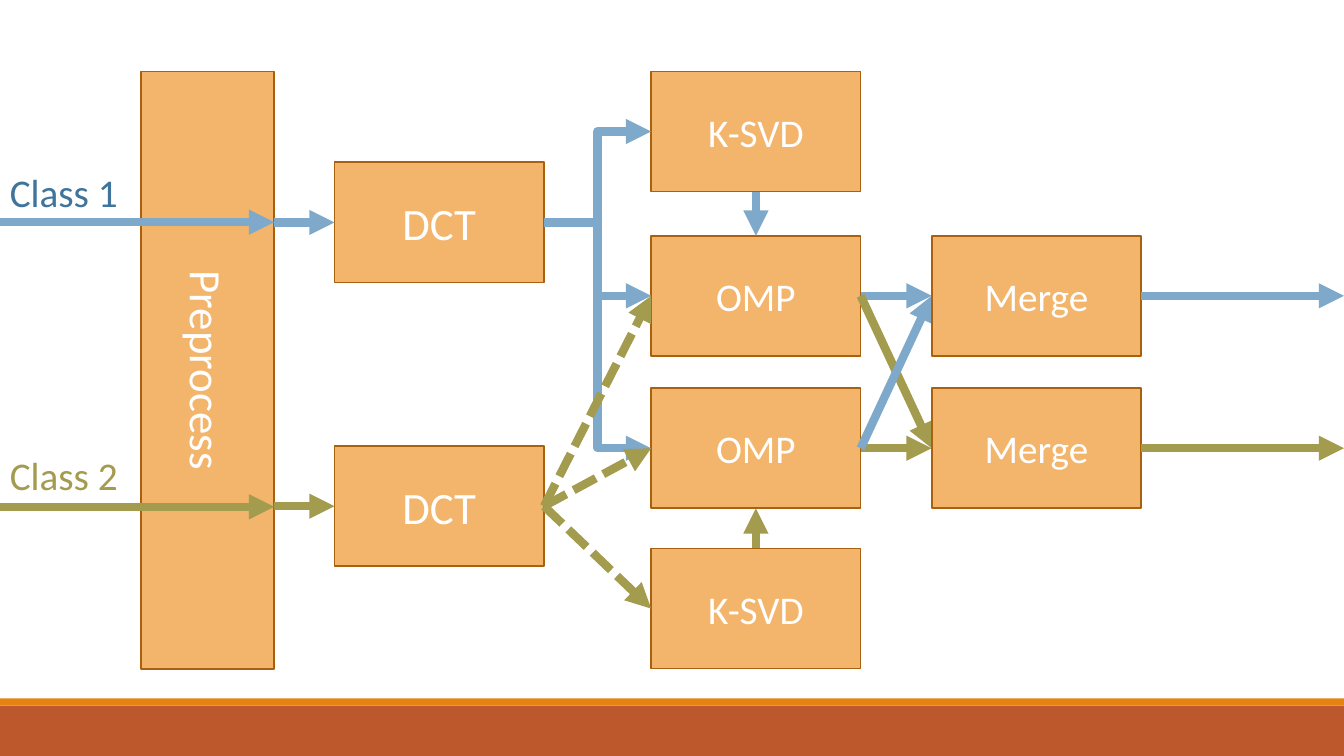
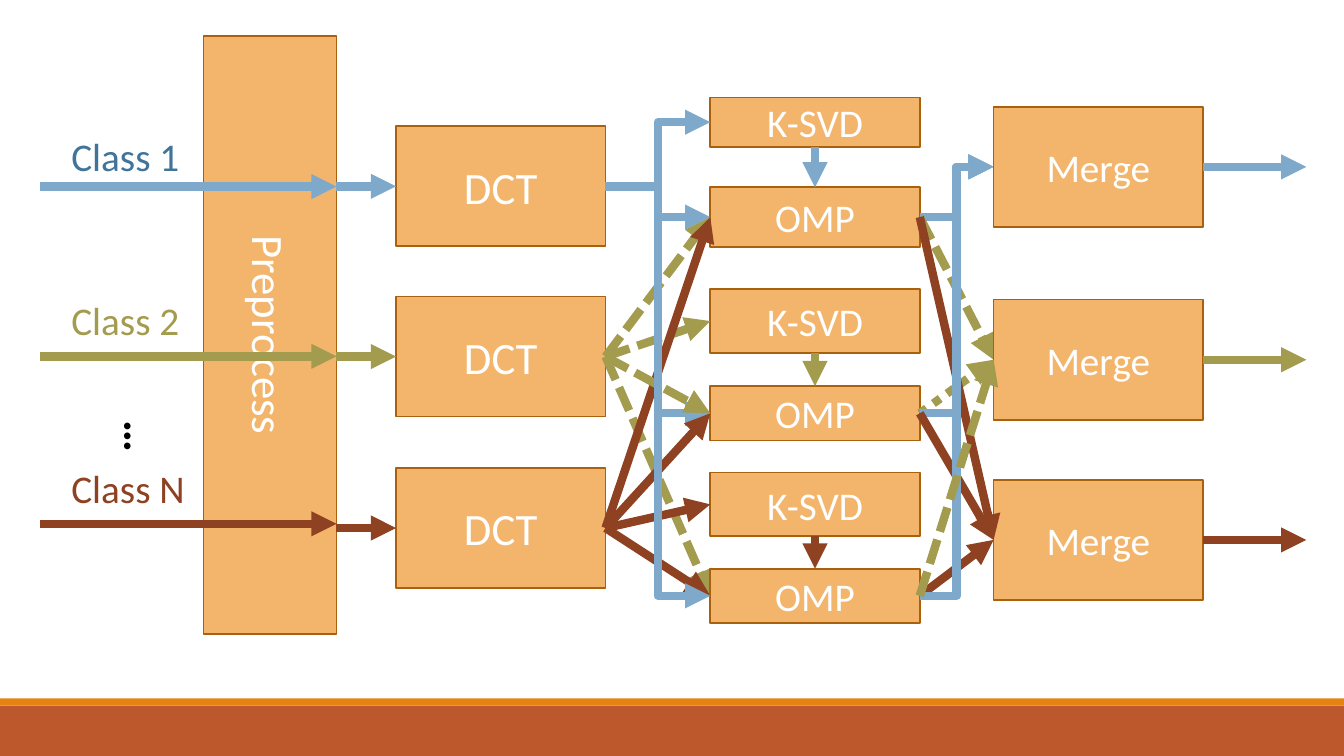
"""Build two block diagrams of a multi-class dictionary learning pipeline."""
from dataclasses import dataclass

from lxml.etree import SubElement
from pptx import Presentation
from pptx.dml.color import RGBColor
from pptx.enum.dml import MSO_LINE
from pptx.enum.shapes import MSO_CONNECTOR, MSO_SHAPE
from pptx.enum.text import MSO_ANCHOR, MSO_AUTO_SIZE, PP_ALIGN
from pptx.oxml.ns import qn
from pptx.util import Cm, Pt


@dataclass(frozen=True)
class Theme:
    """Colours, type sizes and line widths of the deck."""
    font: str = "Calibri"
    band: str = "BD582C"
    stripe: str = "E48312"
    box: str = "F3B56C"
    outline: str = "A9610D"
    box_text: str = "FFFFFF"
    dots: str = "000000"
    lanes: tuple = ("7EA9CA", "A39B4E", "8E4221")
    labels: tuple = ("40749B", "A39B4E", "8E4221")
    large: int = 32
    normal: int = 28
    outline_width: float = 1.25
    arrow_width: int = 6


THEME = Theme()
SLIDE_WIDTH, SLIDE_HEIGHT = 33.87, 19.05
BOX_WIDTH, BOX_HEIGHT = 5.28, 3.03
PREPROCESS_WIDTH, PREPROCESS_HEIGHT = 3.35, 15.06
LABEL_WIDTH, LABEL_HEIGHT = 3.8, 1.45
TOP, LEFT, BOTTOM, RIGHT = range(4)
DASHES = {"dash": MSO_LINE.SQUARE_DOT, "dot": MSO_LINE.ROUND_DOT}

BANDS = [(17.78, 1.27, THEME.band), (17.6, 0.18, THEME.stripe)]

TWO_CLASSES = {
    "preprocess": (3.56, 1.8),
    "columns": [
        ("DCT", 8.43, [(4.09, BOX_HEIGHT), (11.24, BOX_HEIGHT)]),
        ("K-SVD", 16.41, [(1.8, BOX_HEIGHT), (13.82, BOX_HEIGHT)]),
        ("OMP", 16.41, [(5.94, BOX_HEIGHT), (9.78, BOX_HEIGHT)]),
        ("Merge", 23.48, [(5.94, BOX_HEIGHT), (9.78, BOX_HEIGHT)]),
    ],
    "classes": [("Class 1", 4.11, 5.6), ("Class 2", 11.25, 12.77)],
    "label_left": 0,
    "input_left": 0,
    "output_right": SLIDE_WIDTH,
    "phases": [
        ([("DCT 1", "K-SVD 1", 1, "elbow"),
          ("DCT 1", "OMP 1", 1, "elbow"),
          ("DCT 1", "OMP 2", 1, "elbow"),
          ("K-SVD 1", "OMP 1", 1, "solid"),
          ("OMP 1", "Merge 1", 1, "solid"),
          ("K-SVD 2", "OMP 2", 2, "solid"),
          ("OMP 2", "Merge 2", 2, "solid"),
          ("DCT 2", "K-SVD 2", 2, "dash"),
          ("DCT 2", "OMP 2", 2, "dash"),
          ("DCT 2", "OMP 1", 2, "dash"),
          ("OMP 1", "Merge 2", 2, "solid"),
          ("OMP 2", "Merge 1", 1, "solid")],
         ["Merge 1", "Merge 2"]),
    ],
}

MANY_CLASSES = {
    "preprocess": (5.13, 0.91),
    "columns": [
        ("DCT", 9.98, [(3.18, BOX_HEIGHT), (7.47, BOX_HEIGHT), (11.79, BOX_HEIGHT)]),
        ("K-SVD", 17.9, [(2.46, 1.24), (7.29, 1.6), (11.91, 1.6)]),
        ("OMP", 17.9, [(4.72, 1.5), (9.73, 1.37), (14.33, 1.37)]),
        ("Merge", 25.04, [(2.69, BOX_HEIGHT), (7.55, BOX_HEIGHT), (12.09, BOX_HEIGHT)]),
    ],
    "classes": [("Class 1", 3.2, 4.7), ("Class 2", 7.34, 8.98), ("Class N", 11.58, 13.2)],
    "label_left": 1.55,
    "input_left": 1.02,
    "output_right": 32.92,
    "dots": (2.51, 10.34, 1.88, 1.07),
    "phases": [
        ([("DCT 1", "K-SVD 1", 1, "elbow"),
          ("DCT 1", "OMP 1", 1, "elbow"),
          ("DCT 1", "OMP 2", 1, "elbow"),
          ("K-SVD 1", "OMP 1", 1, "solid"),
          ("OMP 1", "Merge 1", 1, "elbow"),
          ("K-SVD 2", "OMP 2", 2, "solid"),
          ("OMP 2", "Merge 2", 2, "dot"),
          ("DCT 2", "OMP 3", 2, "dash"),
          ("DCT 2", "K-SVD 2", 2, "dash"),
          ("DCT 2", "OMP 1", 2, "dash"),
          ("OMP 1", "Merge 2", 2, "dash"),
          ("OMP 2", "Merge 1", 1, "elbow")],
         ["Merge 1", "Merge 2"]),
        ([("DCT 3", "OMP 1", 3, "solid"),
          ("DCT 3", "OMP 2", 3, "solid")],
         ["OMP 3", "K-SVD 3"]),
        ([("K-SVD 3", "OMP 3", 3, "solid"),
          ("DCT 2", "OMP 2", 2, "dash"),
          ("DCT 3", "K-SVD 3", 3, "solid"),
          ("DCT 3", "OMP 3", 3, "solid")],
         ["Merge 3"]),
        ([("OMP 1", "Merge 3", 3, "solid"),
          ("OMP 2", "Merge 3", 3, "solid"),
          ("OMP 3", "Merge 3", 3, "solid"),
          ("OMP 3", "Merge 1", 1, "elbow"),
          ("OMP 3", "Merge 2", 2, "dash"),
          ("DCT 1", "OMP 3", 1, "elbow")],
         []),
    ],
}


def write(shape, text, size, colour, bold=False, vertical=False):
    """Put one formatted line of text into a shape."""
    frame = shape.text_frame
    frame.text = text
    font = frame.paragraphs[0].runs[0].font
    font.name, font.size, font.bold = THEME.font, Pt(size), bold
    font.color.rgb = RGBColor.from_string(colour)
    if vertical:
        frame._txBody.bodyPr.set("vert", "vert")


def add_rectangle(slide, left, top, width, height, fill):
    """Add a plain rectangle without line or shadow."""
    shape = slide.shapes.add_shape(
        MSO_SHAPE.RECTANGLE, Cm(left), Cm(top), Cm(width), Cm(height))
    shape.shadow.inherit = False
    shape.fill.solid()
    shape.fill.fore_color.rgb = RGBColor.from_string(fill)
    shape.line.fill.background()
    return shape


def add_box(slide, text, left, top, width, height, size, vertical=False):
    """Add one outlined processing block."""
    box = add_rectangle(slide, left, top, width, height, THEME.box)
    box.line.color.rgb = RGBColor.from_string(THEME.outline)
    box.line.width = Pt(THEME.outline_width)
    write(box, text, size, THEME.box_text, vertical=vertical)
    box.text_frame.vertical_anchor = MSO_ANCHOR.MIDDLE
    box.text_frame.paragraphs[0].alignment = PP_ALIGN.CENTER
    return box


def add_label(slide, text, left, top, width, height, size, colour,
              bold=False, vertical=False):
    """Add a one-line text box that keeps its left edge when horizontal."""
    label = slide.shapes.add_textbox(Cm(left), Cm(top), Cm(width), Cm(height))
    write(label, text, size, colour, bold, vertical)
    label.text_frame.word_wrap = not vertical
    label.text_frame.auto_size = MSO_AUTO_SIZE.SHAPE_TO_FIT_TEXT


def add_arrow(slide, start, end, lane, style="solid"):
    """Add an arrow between two points in the colour of its lane."""
    kind = MSO_CONNECTOR.ELBOW if style == "elbow" else MSO_CONNECTOR.STRAIGHT
    arrow = slide.shapes.add_connector(kind, *start, *end)
    arrow.line.color.rgb = RGBColor.from_string(THEME.lanes[lane - 1])
    arrow.line.width = Pt(THEME.arrow_width)
    if style in DASHES:
        arrow.line.dash_style = DASHES[style]
    properties = arrow.element.spPr
    SubElement(properties.find(qn("a:ln")), qn("a:tailEnd"), type="triangle")
    SubElement(properties, qn("a:effectLst"))
    return arrow


def side(box, site):
    """Return the middle of one side of a box."""
    across = {LEFT: 0, RIGHT: box.width}.get(site, box.width // 2)
    down = {TOP: 0, BOTTOM: box.height}.get(site, box.height // 2)
    return box.left + across, box.top + down


def link(slide, source, target, lane, style):
    """Join two boxes, vertically inside a column and else left to right."""
    if source.left != target.left:
        sites = RIGHT, LEFT
    elif source.top < target.top:
        sites = BOTTOM, TOP
    else:
        sites = TOP, BOTTOM
    arrow = add_arrow(slide, side(source, sites[0]), side(target, sites[1]), lane, style)
    arrow.begin_connect(source, sites[0])
    arrow.end_connect(target, sites[1])


def add_boxes(slide, diagram):
    """Add the blocks and return them by numbered name."""
    boxes = {"Preprocess": add_box(
        slide, "Preprocess", *diagram["preprocess"], PREPROCESS_WIDTH,
        PREPROCESS_HEIGHT, THEME.large, vertical=True)}
    for text, left, rows in diagram["columns"]:
        size = THEME.large if text == "DCT" else THEME.normal
        for number, (top, height) in enumerate(rows, 1):
            boxes[f"{text} {number}"] = add_box(
                slide, text, left, top, BOX_WIDTH, height, size)
    return boxes


def draw_diagram(slide, diagram):
    """Draw blocks, class inputs, links and outputs of one pipeline."""
    boxes = add_boxes(slide, diagram)
    preprocess = boxes["Preprocess"]
    preprocess_right = preprocess.left + preprocess.width
    for lane, (text, label_top, input_height) in enumerate(diagram["classes"], 1):
        add_label(slide, text, diagram["label_left"], label_top, LABEL_WIDTH,
                  LABEL_HEIGHT, THEME.normal, THEME.labels[lane - 1])
        add_arrow(slide, (Cm(diagram["input_left"]), Cm(input_height)),
                  (preprocess_right, Cm(input_height)), lane)
        transform = boxes[f"DCT {lane}"]
        entry = side(transform, LEFT)
        add_arrow(slide, (preprocess_right, entry[1]), entry, lane).end_connect(
            transform, LEFT)
    for links, raised in diagram["phases"]:
        for source, target, lane, style in links:
            link(slide, boxes[source], boxes[target], lane, style)
        for name in raised:
            slide.shapes.element.append(boxes[name].element)
    for lane in range(1, len(diagram["classes"]) + 1):
        merge = boxes[f"Merge {lane}"]
        start = side(merge, RIGHT)
        add_arrow(slide, start, (Cm(diagram["output_right"]), start[1]),
                  lane).begin_connect(merge, RIGHT)
    if "dots" in diagram:
        add_label(slide, "…", *diagram["dots"], THEME.large, THEME.dots,
                  bold=True, vertical=True)


def add_master_bands(presentation, slide):
    """Move the footer bands to the slide master."""
    master = presentation.slide_master
    for number, (top, height, colour) in enumerate(BANDS, 101):
        band = add_rectangle(slide, 0, top, SLIDE_WIDTH, height, colour)
        band.element.nvSpPr.cNvPr.set("id", str(number))
        master.shapes.element.append(band.element)


def main():
    """Build and save the presentation."""
    presentation = Presentation()
    presentation.slide_width = Cm(SLIDE_WIDTH)
    presentation.slide_height = Cm(SLIDE_HEIGHT)
    blank = presentation.slide_layouts[6]
    slides = [presentation.slides.add_slide(blank) for _ in range(2)]
    add_master_bands(presentation, slides[0])
    for slide, diagram in zip(slides, (TWO_CLASSES, MANY_CLASSES)):
        draw_diagram(slide, diagram)
    presentation.save("out.pptx")


if __name__ == "__main__":
    main()
